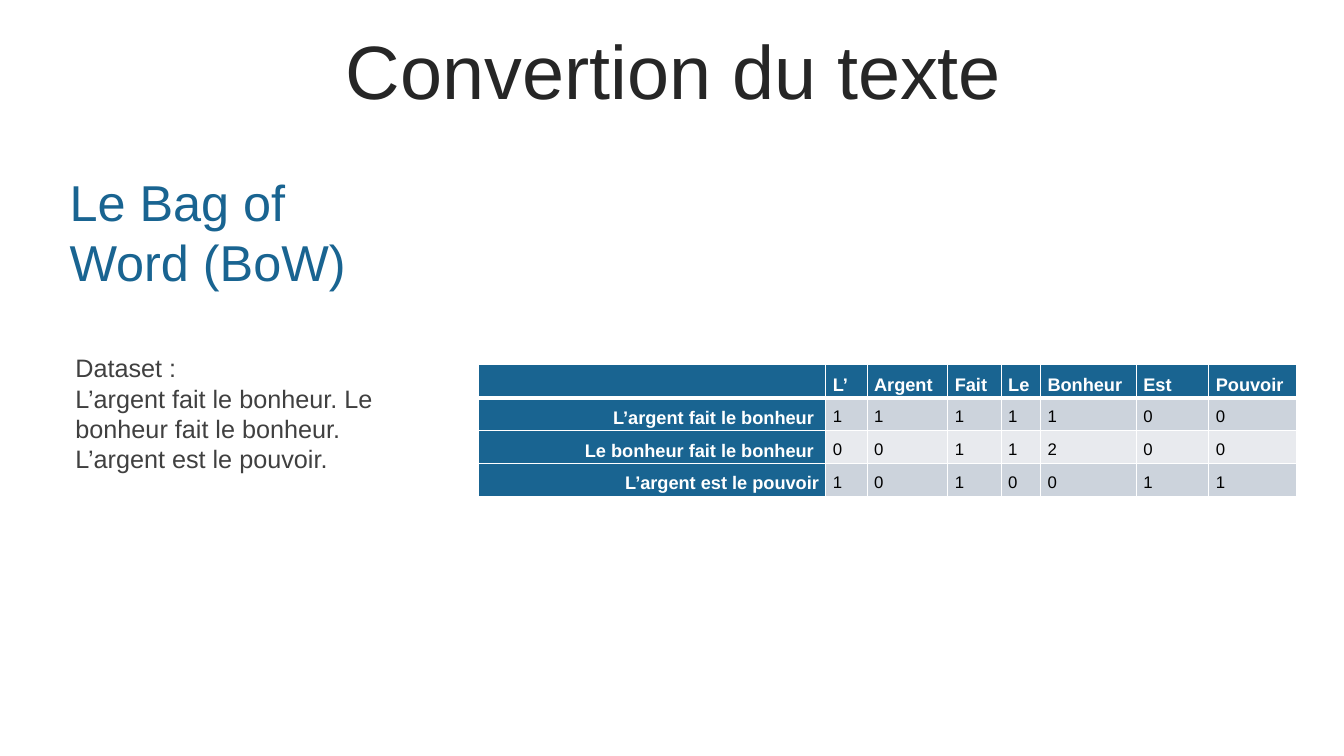
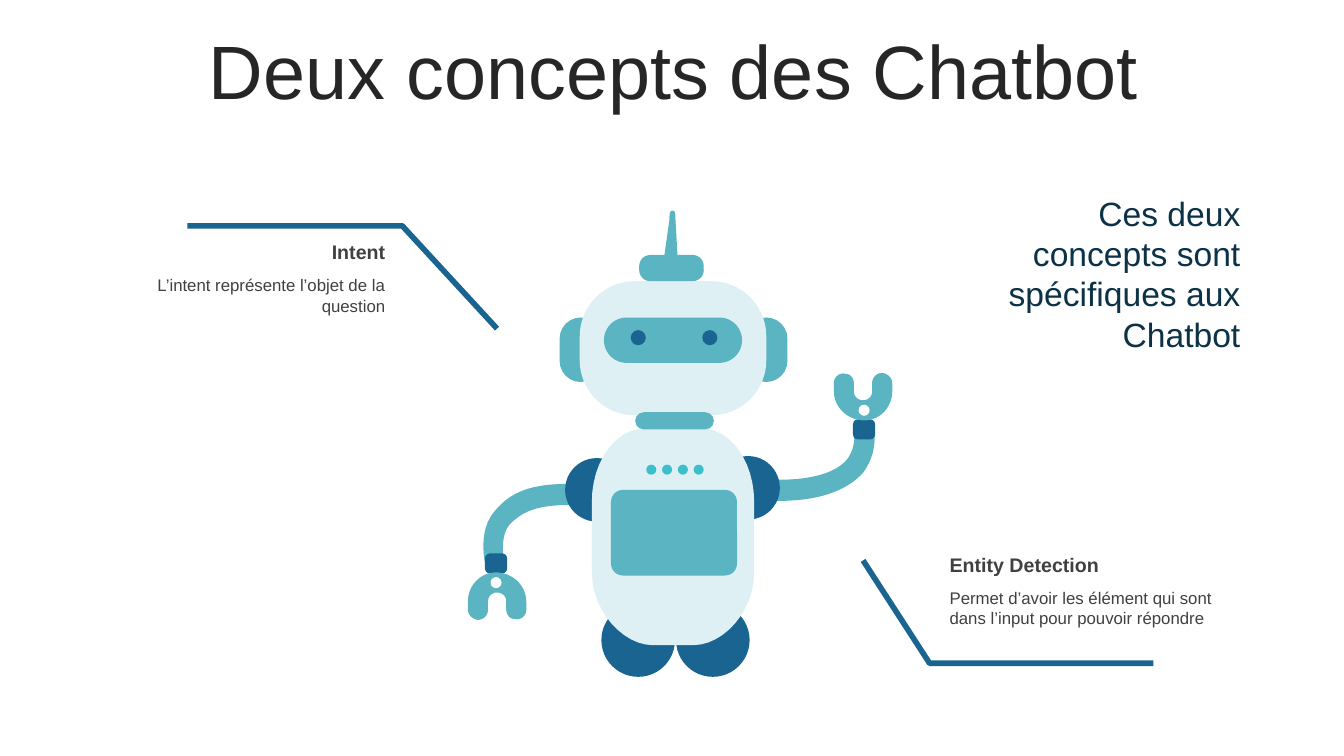
from dataclasses import dataclass

from lxml import etree
from pptx import Presentation
from pptx.dml.color import RGBColor
from pptx.enum import shapes, text
from pptx.oxml.ns import qn
from pptx.util import Inches, Pt


@dataclass(frozen=True)
class Theme:
    font: str = "Arial"
    title: str = "262626"
    body: str = "404040"
    dark: str = "0C3248"
    blue: str = "196491"
    teal: str = "5AB4C1"
    pale: str = "DEF0F3"
    light: str = "3BC0CB"
    white: str = "FFFFFF"
    black: str = "000000"
    bands: tuple = ("CCD3DC", "E8EAEE")
    title_size: int = 54
    heading_size: int = 36
    statement_size: int = 24
    text_size: int = 18
    label_size: int = 14
    header_size: int = 13
    small_size: int = 12


THEME = Theme()
LEFT, RIGHT = text.PP_ALIGN.LEFT, text.PP_ALIGN.RIGHT
CENTER, JUSTIFY = text.PP_ALIGN.CENTER, text.PP_ALIGN.JUSTIFY
TOP, MIDDLE = text.MSO_ANCHOR.TOP, text.MSO_ANCHOR.MIDDLE
OVAL = shapes.MSO_SHAPE.OVAL
ROUNDED = shapes.MSO_SHAPE.ROUNDED_RECTANGLE

# Content
TITLES = ("Convertion du texte", "Deux concepts des Chatbot")
HEADING = "Le Bag of Word (BoW)"
DATASET = (
    "Dataset :",
    "L’argent fait le bonheur. Le bonheur fait le bonheur. L’argent est le pouvoir.",
)
WORD_COUNTS = (
    ("", "L’", "Argent", "Fait", "Le", "Bonheur", "Est", "Pouvoir"),
    ("L’argent fait le bonheur ", 1, 1, 1, 1, 1, 0, 0),
    ("Le bonheur fait le bonheur ", 0, 0, 1, 1, 2, 0, 0),
    ("L’argent est le pouvoir", 1, 0, 1, 0, 0, 1, 1),
)
COLUMN_WIDTHS = (3.45, 0.41, 0.8, 0.53, 0.39, 0.95, 0.72, 0.87)
STATEMENT = "Ces deux concepts sont spécifiques aux Chatbot"
CONCEPTS = (  # label, explanation, left, top, alignment, pointer corners
    ("Intent", "L’intent représente l’objet de la question",
     0.85, 2.33, RIGHT, ((4.93, 3.26), (3.99, 2.24), (1.86, 2.24))),
    ("Entity Detection",
     "Permet d’avoir les élément qui sont dans l’input pour pouvoir répondre",
     9.32, 5.43, LEFT, ((8.56, 5.56), (9.22, 6.58), (11.44, 6.58))),
)

# Robot outlines: a start point, then lines (2 numbers) or curves (6 numbers)
LEFT_ARM = ((5.64, 4.8), (5.25, 4.8, 5.05, 4.89, 4.9, 5.08),
            (4.74, 5.27, 4.81, 5.57, 4.81, 5.58), (5.01, 5.57),
            (4.99, 5.55, 4.96, 5.32, 5.05, 5.21),
            (5.17, 5.08, 5.32, 5.01, 5.64, 5.01))
RIGHT_ARM = ((7.72, 4.97), (8.12, 4.97, 8.4, 4.87, 8.56, 4.69),
             (8.71, 4.49, 8.67, 4.28, 8.67, 4.27), (8.47, 4.31),
             (8.47, 4.32, 8.49, 4.44, 8.4, 4.56),
             (8.29, 4.69, 8.05, 4.76, 7.73, 4.76))
CLAW = ((5.22, 6.05), (5.22, 5.97), (5.22, 5.8, 5.07, 5.67, 4.9, 5.68),
        (4.75, 5.69, 4.64, 5.82, 4.64, 5.97), (4.64, 6.04),
        (4.64, 6.1, 4.68, 6.14, 4.74, 6.15),
        (4.79, 6.15, 4.84, 6.11, 4.84, 6.05), (4.84, 5.97),
        (4.84, 5.92, 4.87, 5.89, 4.91, 5.88),
        (4.97, 5.87, 5.02, 5.91, 5.02, 5.96), (5.02, 6.04),
        (5.02, 6.09, 5.05, 6.14, 5.1, 6.14),
        (5.16, 6.16, 5.22, 6.11, 5.22, 6.05))
TORSO = ((6.97, 4.25), (6.39, 4.25), (6.1, 4.26, 5.87, 4.58, 5.87, 4.98),
         (5.87, 5.68), (5.87, 6.07, 6.19, 6.4, 6.47, 6.4), (6.88, 6.4),
         (7.17, 6.4, 7.48, 6.07, 7.48, 5.68), (7.48, 4.98),
         (7.48, 4.58, 7.25, 4.26, 6.97, 4.25))
ANTENNA = ((6.64, 2.18), (6.59, 2.53), (6.59, 2.58, 6.62, 2.62, 6.65, 2.62),
           (6.69, 2.62, 6.72, 2.59, 6.72, 2.54), (6.7, 2.18),
           (6.7, 2.13, 6.7, 2.09, 6.67, 2.09),
           (6.64, 2.09, 6.64, 2.13, 6.64, 2.18))
HALF_TURN = (13.49, 9.85)  # the raised hand is the lowered one turned about


# Text helpers
def rgb(color):
    return RGBColor.from_string(color)


def style(para, size, color, align=LEFT, bold=False):
    para.alignment = align
    for span in para.runs:
        span.font.name = THEME.font
        span.font.size = Pt(size)
        span.font.bold = bold
        span.font.color.rgb = rgb(color)


def add_text(page, lines, area, size, color, align=LEFT, anchor=TOP, bold=False):
    box = page.shapes.add_textbox(*map(Inches, area))
    frame = box.text_frame
    frame.word_wrap = True
    frame.vertical_anchor = anchor
    frame.text = "\n".join(lines)
    for para in frame.paragraphs:
        style(para, size, color, align, bold)
    return frame


def add_page(deck, layout, title):
    page = deck.slides.add_slide(layout)
    frame = page.shapes.title.text_frame
    frame.text = title
    frame.auto_size = text.MSO_AUTO_SIZE.NONE
    frame.vertical_anchor = MIDDLE
    para = frame.paragraphs[0]
    para.line_spacing = 0.9
    style(para, THEME.title_size, THEME.title, CENTER)
    return page


# Drawing helpers
def paint(shape, color):
    shape.shadow.inherit = False
    shape.fill.solid()
    shape.fill.fore_color.rgb = rgb(color)
    shape.line.fill.background()


def circle(page, x, y, diameter, color):
    corner = (x - diameter / 2, y - diameter / 2)
    area = map(Inches, (*corner, diameter, diameter))
    paint(page.shapes.add_shape(OVAL, *area), color)


def rounded(page, area, color, corner=0.5):
    shape = page.shapes.add_shape(ROUNDED, *map(Inches, area))
    shape.adjustments[0] = corner
    paint(shape, color)


def trace(outline, steps=12):
    """Turn lines and cubic curves into a list of points."""
    points = [outline[0]]
    for part in outline[1:]:
        if len(part) == 2:
            points.append(part)
            continue
        controls = (points[-1], part[:2], part[2:4], part[4:])
        for step in range(1, steps + 1):
            t = step / steps
            weights = ((1 - t) ** 3, 3 * t * (1 - t) ** 2, 3 * t * t * (1 - t), t ** 3)
            points.append(tuple(
                sum(w * point[axis] for w, point in zip(weights, controls))
                for axis in (0, 1)))
    return points


def freeform(page, points, close=True):
    start, *others = [tuple(map(Inches, point)) for point in points]
    builder = page.shapes.build_freeform(*start)
    builder.add_line_segments(others, close=close)
    return builder.convert_to_shape()


def turn(point):
    return tuple(total - value for total, value in zip(HALF_TURN, point))


def add_robot(page):
    # Feet and arms
    for x in (7.07, 6.33):
        circle(page, x, 6.35, 0.73, THEME.blue)
    for arm in (LEFT_ARM, RIGHT_ARM):
        paint(freeform(page, trace(arm)), THEME.teal)
        x, y = arm[0][0], (arm[0][1] + arm[-1][-1]) / 2
        circle(page, x, y, 0.21, THEME.teal)
    # Hands
    for place in (tuple, turn):
        x, y = place((4.92, 5.59))
        rounded(page, (x - 0.11, y - 0.1, 0.22, 0.2), THEME.blue, 0.25)
        paint(freeform(page, [place(point) for point in trace(CLAW)]), THEME.teal)
        circle(page, *place((4.92, 5.78)), 0.11, THEME.white)
    # Torso
    for x, y in ((7.42, 4.84), (5.92, 4.86)):
        circle(page, x, y, 0.63, THEME.blue)
    paint(freeform(page, trace(TORSO)), THEME.pale)
    # Head
    for x in (7.39, 5.55):
        rounded(page, (x, 3.15, 0.42, 0.64), THEME.teal)
    rounded(page, (5.75, 2.79, 1.85, 1.33), THEME.pale, 0.41)
    rounded(page, (6.34, 2.53, 0.64, 0.26), THEME.teal, 0.42)
    paint(freeform(page, trace(ANTENNA)), THEME.teal)
    rounded(page, (5.99, 3.15, 1.37, 0.45), THEME.teal)
    for x in (6.33, 7.04):
        circle(page, x, 3.35, 0.15, THEME.blue)
    # Neck, lights and screen
    rounded(page, (6.3, 4.09, 0.78, 0.17), THEME.teal)
    for index in range(4):
        circle(page, 6.46 + index * 0.47 / 3, 4.66, 0.1, THEME.light)
    rounded(page, (6.06, 4.86, 1.25, 0.85), THEME.teal, 0.14)


# Table
def add_borders(cell, widths):
    properties = cell._tc.get_or_add_tcPr()
    for side, width in widths.items():
        line = etree.SubElement(properties, qn(f"a:ln{side}"), w=str(Pt(width)))
        fill = etree.SubElement(line, qn("a:solidFill"))
        etree.SubElement(fill, qn("a:srgbClr"), val=THEME.white)


def add_counts(page, left, top, height):
    rows = len(WORD_COUNTS)
    area = map(Inches, (left, top, sum(COLUMN_WIDTHS), height))
    table = page.shapes.add_table(rows, len(COLUMN_WIDTHS), *area).table
    for column, width in zip(table.columns, COLUMN_WIDTHS):
        column.width = Inches(width)
    for r, values in enumerate(WORD_COUNTS):
        table.rows[r].height = Inches(height / rows)
        for c, value in enumerate(values):
            cell = table.cell(r, c)
            add_borders(cell, {"L": 1, "R": 1, "T": 3 if r == 1 else 1,
                               "B": 3 if r == 0 else 1})
            heading = r == 0 or c == 0
            cell.fill.solid()
            cell.fill.fore_color.rgb = rgb(
                THEME.blue if heading else THEME.bands[(r - 1) % 2])
            cell.margin_left = cell.margin_right = Inches(0.07)
            cell.margin_top = cell.margin_bottom = 0
            if value == "":
                continue
            cell.text = str(value)
            para = cell.text_frame.paragraphs[0]
            para.line_spacing = 1.5
            style(para, THEME.header_size if heading else THEME.small_size,
                  THEME.white if heading else THEME.black,
                  RIGHT if c == 0 else JUSTIFY, heading)


# Slides
def add_text_conversion(page):
    frame = add_text(page, [HEADING], (0.65, 1.69, 3.34, 1.21),
                     THEME.heading_size, THEME.blue, anchor=MIDDLE)
    frame.margin_left = frame.margin_right = Inches(0.04)
    frame.margin_top = frame.margin_bottom = 0
    add_text(page, DATASET, (0.65, 3.45, 3.63, 1.31), THEME.text_size, THEME.body)
    add_counts(page, 4.74, 3.62, 1.3)


def add_chatbot_concepts(page):
    add_robot(page)
    for label, explanation, left, top, align, corners in CONCEPTS:
        pointer = freeform(page, corners, close=False)
        pointer.shadow.inherit = False
        pointer.fill.background()
        pointer.line.color.rgb = rgb(THEME.blue)
        pointer.line.width = Pt(4)
        add_text(page, [label], (left, top, 3.07, 0.34), THEME.label_size,
                 THEME.body, align, MIDDLE, bold=True)
        add_text(page, [explanation], (left, top + 0.35, 3.07, 0.5),
                 THEME.small_size, THEME.body, align)
    add_text(page, [STATEMENT], (9.83, 1.85, 2.57, 1.72), THEME.statement_size,
             THEME.dark, RIGHT, MIDDLE)


def main():
    deck = Presentation()
    deck.slide_width, deck.slide_height = Inches(13.33), Inches(7.5)
    layout = deck.slide_layouts.get_by_name("Title Only")
    title = layout.placeholders[0]
    title.left, title.top, title.width, title.height = map(
        Inches, (0.35, 0.35, 12.66, 0.79))
    for name, fill_page in zip(TITLES, (add_text_conversion, add_chatbot_concepts)):
        fill_page(add_page(deck, layout, name))
    deck.save("out.pptx")


if __name__ == "__main__":
    main()
